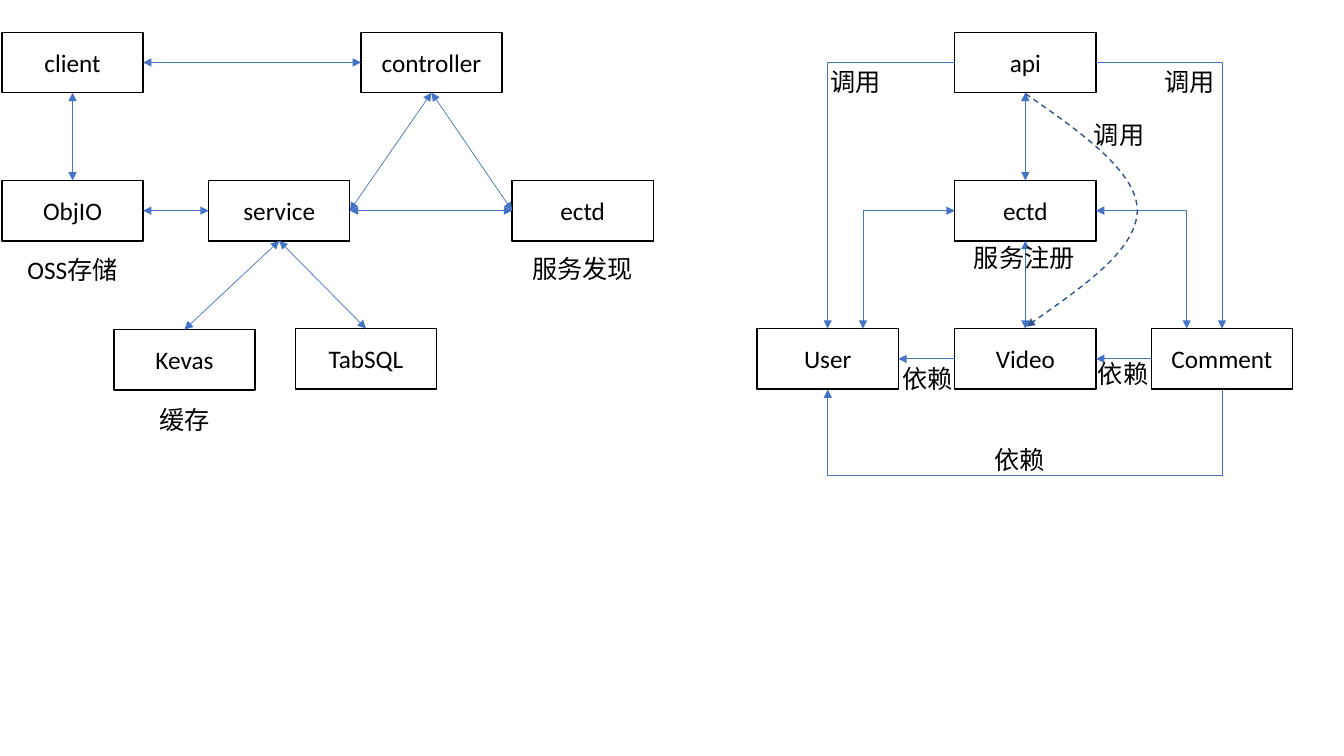
from lxml import etree
from pptx import Presentation
from pptx.dml.color import RGBColor
from pptx.enum.dml import MSO_LINE
from pptx.enum.shapes import MSO_CONNECTOR, MSO_SHAPE
from pptx.enum.text import MSO_ANCHOR, PP_ALIGN
from pptx.oxml.ns import qn
from pptx.util import Inches, Pt

STRAIGHT, ELBOW = MSO_CONNECTOR.STRAIGHT, MSO_CONNECTOR.ELBOW
RECTANGLE, DASH = MSO_SHAPE.RECTANGLE, MSO_LINE.DASH
MIDDLE, CENTER = MSO_ANCHOR.MIDDLE, PP_ALIGN.CENTER
TOP, LEFT, BOTTOM, RIGHT = range(4)  # connection sites of a rectangle

COLORS = {"text": "000000", "outline": "000000", "link": "4472C4", "curve": "325491"}
FONT, FONT_SIZE = "Calibri", 18
BOX_WIDTH, BOX_HEIGHT = 1.4, 0.6
ROW_1, ROW_2, ROW_3 = 0.32, 1.79, 3.26

# key: (text, left, top)
BOXES = {
    "client": ("client", 0.02, ROW_1),
    "controller": ("controller", 3.58, ROW_1),
    "storage": ("ObjIO", 0.02, ROW_2),
    "service": ("service", 2.07, ROW_2),
    "discovery": ("ectd", 5.08, ROW_2),
    "cache": ("Kevas", 1.13, ROW_3 + 0.01),
    "database": ("TabSQL", 2.93, ROW_3),
    "api": ("api", 9.47, ROW_1),
    "registry": ("ectd", 9.47, ROW_2),
    "user": ("User", 7.51, ROW_3),
    "video": ("Video", 9.47, ROW_3),
    "comment": ("Comment", 11.42, ROW_3),
}
LABELS = [
    ("OSS存储", 0.02, 2.37), ("服务发现", 5.08, 2.36), ("缓存", 1.13, 3.86),
    ("服务注册", 9.46, 2.25), ("依赖", 10.44, 3.41), ("依赖", 8.5, 3.45),
    ("依赖", 9.41, 4.26), ("调用", 7.79, 0.51), ("调用", 11.1, 0.51),
    ("调用", 10.4, 1.03),
]
# (from box, site, to box, site)
TWO_WAY_LINKS = [
    ("client", RIGHT, "controller", LEFT), ("client", BOTTOM, "storage", TOP),
    ("storage", RIGHT, "service", LEFT), ("service", RIGHT, "discovery", LEFT),
    ("controller", BOTTOM, "service", RIGHT),
    ("controller", BOTTOM, "discovery", LEFT),
    ("cache", TOP, "service", BOTTOM), ("database", TOP, "service", BOTTOM),
    ("api", BOTTOM, "registry", TOP), ("video", TOP, "registry", BOTTOM),
]
DEPENDENCIES = [("video", LEFT, "user", RIGHT), ("comment", LEFT, "video", RIGHT)]
CALLS = [("api", LEFT, "user", TOP), ("api", RIGHT, "comment", TOP)]
# (from box, site, to box, shift of the end from the middle of its top edge)
REGISTRATIONS = [("registry", LEFT, "user", 0.35), ("registry", RIGHT, "comment", -0.35)]
LOOP_DROP, LOOP_DEPTH = 0.87, 0.01
CURVE = [(10.17, 0.93), (10.72, 1.31), (11.27, 1.7), (11.28, 2.08),
         (11.28, 2.47), (10.73, 2.85), (10.18, 3.24)]


def rgb(name):
    """Return the named colour."""
    return RGBColor.from_string(COLORS[name])


def write_text(shape, text):
    """Put one centred line of text in a shape."""
    frame = shape.text_frame
    frame.word_wrap = True
    frame.vertical_anchor = MIDDLE
    paragraph = frame.paragraphs[0]
    paragraph.alignment = CENTER
    run = paragraph.add_run()
    run.text = text
    run.font.name, run.font.size = FONT, Pt(FONT_SIZE)
    run.font.color.rgb = rgb("text")


def add_box(slide, text, left, top):
    """Draw an outlined box with its name."""
    shape = slide.shapes.add_shape(
        RECTANGLE, Inches(left), Inches(top), Inches(BOX_WIDTH), Inches(BOX_HEIGHT))
    shape.shadow.inherit = False
    shape.fill.background()
    shape.line.color.rgb, shape.line.width = rgb("outline"), Pt(1)
    write_text(shape, text)
    return shape


def add_label(slide, text, left, top):
    """Write a free label the size of a box."""
    write_text(slide.shapes.add_textbox(
        Inches(left), Inches(top), Inches(BOX_WIDTH), Inches(BOX_HEIGHT)), text)


def site_point(key, site):
    """Return the position of a connection site of a box."""
    _, left, top = BOXES[key]
    across, down = {TOP: (0.5, 0), LEFT: (0, 0.5), BOTTOM: (0.5, 1), RIGHT: (1, 0.5)}[site]
    return left + across * BOX_WIDTH, top + down * BOX_HEIGHT


def add_arrowheads(shape, two_way):
    """Put a triangle at the end of a line, and at its start if two-way."""
    outline = shape._element.spPr.find(qn("a:ln"))
    for tag in ("a:headEnd", "a:tailEnd") if two_way else ("a:tailEnd",):
        etree.SubElement(outline, qn(tag)).set("type", "triangle")


def add_link(slide, kind, start, end, two_way=False):
    """Draw a thin arrow between two points."""
    connector = slide.shapes.add_connector(kind, *map(Inches, (*start, *end)))
    connector.line.color.rgb, connector.line.width = rgb("link"), Pt(0.5)
    add_arrowheads(connector, two_way)
    etree.SubElement(connector._element.spPr, qn("a:effectLst"))
    return connector


def join(slide, boxes, kind, link, two_way=False):
    """Draw an arrow glued to the sites of two boxes."""
    source, source_site, target, target_site = link
    connector = add_link(slide, kind, site_point(source, source_site),
                         site_point(target, target_site), two_way)
    connector.begin_connect(boxes[source], source_site)
    connector.end_connect(boxes[target], target_site)
    return connector


def make_single_bend(connector):
    """Give an elbow one corner: across first, then down."""
    connector._element.spPr.find(qn("a:prstGeom")).set("prst", "bentConnector2")


def add_loop(slide):
    """Draw the dependency that runs below the boxes, from Comment to User."""
    right, bottom = site_point("comment", BOTTOM)
    left, _ = site_point("user", BOTTOM)
    middle, span = (left + right) / 2, right - left
    start = middle - LOOP_DEPTH / 2, bottom - span / 2
    end = middle + LOOP_DEPTH / 2, bottom + span / 2
    properties = add_link(slide, ELBOW, start, end)._element.spPr
    properties.find(qn("a:xfrm")).set("rot", str(90 * 60000))
    adjustments = properties.find(qn("a:prstGeom")).find(qn("a:avLst"))
    guide = etree.SubElement(adjustments, qn("a:gd"))
    guide.set("name", "adj1")
    guide.set("fmla", f"val {round(LOOP_DROP / LOOP_DEPTH * 100000)}")


def add_curve(slide):
    """Draw the dashed call as two Bezier pieces."""
    points = [(Inches(x), Inches(y)) for x, y in CURVE]
    builder = slide.shapes.build_freeform(*points[0])
    builder.add_line_segments(points[1:], close=False)
    shape = builder.convert_to_shape()
    shape.shadow.inherit = False
    shape.fill.background()
    shape.line.color.rgb, shape.line.width = rgb("curve"), Pt(1)
    shape.line.dash_style = DASH
    add_arrowheads(shape, False)
    outline = next(shape._element.iter(qn("a:path")))
    segments = outline.findall(qn("a:lnTo"))
    for first in range(0, len(segments), 3):
        bezier = etree.SubElement(outline, qn("a:cubicBezTo"))
        for segment in segments[first:first + 3]:
            bezier.append(segment[0])
            outline.remove(segment)


def main():
    """Build the slide and save it."""
    presentation = Presentation()
    presentation.slide_width, presentation.slide_height = Inches(13.33), Inches(7.5)
    slide = presentation.slides.add_slide(presentation.slide_layouts[6])
    boxes = {key: add_box(slide, *box) for key, box in BOXES.items()}
    for link in TWO_WAY_LINKS:
        join(slide, boxes, STRAIGHT, link, two_way=True)
    for link in DEPENDENCIES:
        join(slide, boxes, STRAIGHT, link)
    for link in CALLS:
        make_single_bend(join(slide, boxes, ELBOW, link))
    for source, site, target, shift in REGISTRATIONS:
        x, y = site_point(target, TOP)
        connector = add_link(slide, ELBOW, site_point(source, site), (x + shift, y), True)
        connector.begin_connect(boxes[source], site)
        make_single_bend(connector)
    add_loop(slide)
    add_curve(slide)
    for label in LABELS:
        add_label(slide, *label)
    presentation.save("out.pptx")


main()
